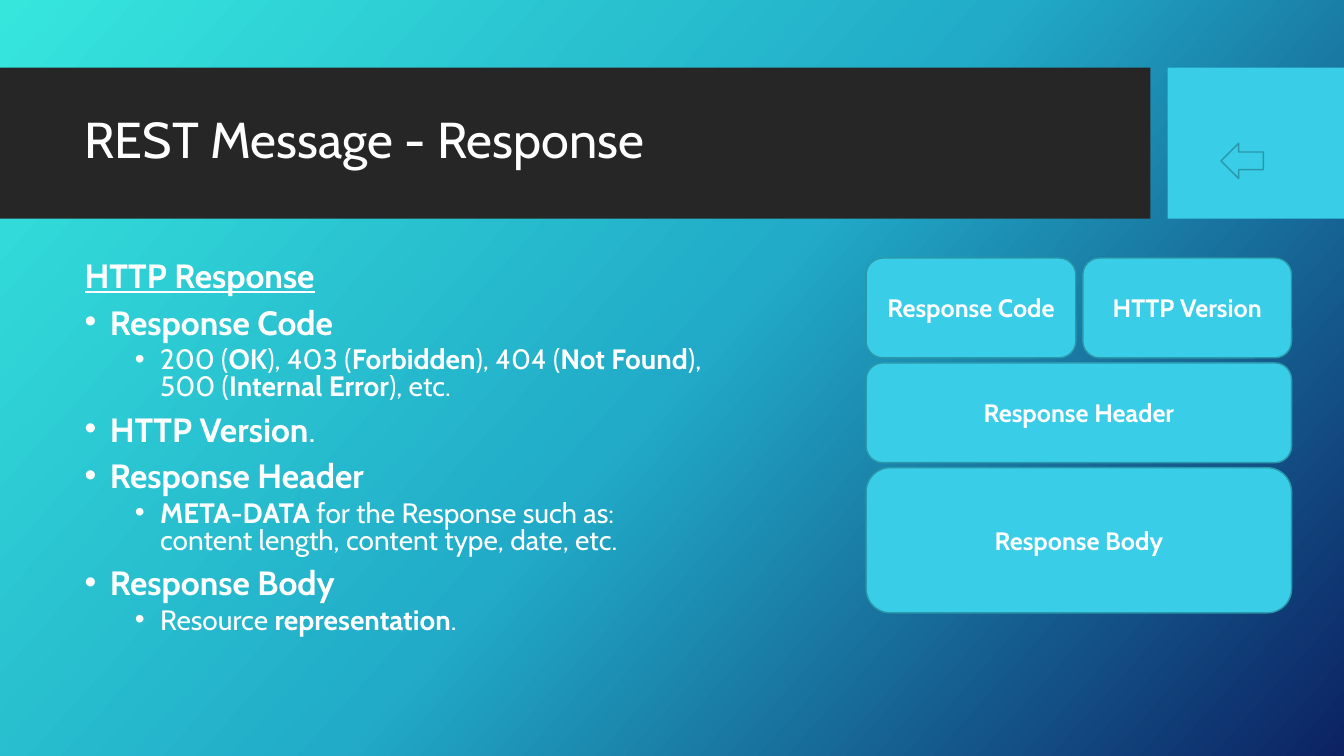
from copy import deepcopy

from lxml.etree import SubElement
from pptx import Presentation
from pptx.dml.color import RGBColor
from pptx.enum.shapes import MSO_SHAPE
from pptx.enum.text import MSO_ANCHOR, PP_ALIGN
from pptx.oxml.ns import qn
from pptx.util import Inches, Pt

WHITE = RGBColor(0xFF, 0xFF, 0xFF)
DARK = RGBColor(0x26, 0x26, 0x26)
CYAN = RGBColor(0x39, 0xCD, 0xE7)
EDGE = RGBColor(0x2A, 0x98, 0xAB)
SKY = [(0, RGBColor(0x36, 0xE6, 0xDD)),
       (0.5, RGBColor(0x21, 0xAB, 0xC8)),
       (1, RGBColor(0x0C, 0x22, 0x63))]
FONT = "Cabin"


def write(para, text, size=18, bold=False, line=None, under=False,
          before=0, align=PP_ALIGN.LEFT, left=None):
    """Fill a paragraph; asterisks switch bold, left adds a bullet."""
    para.alignment = align
    para.space_before = Pt(before)
    if line:
        para.line_spacing = line
    for i, part in enumerate(text.split("*")):
        if part:
            run = para.add_run()
            run.text = part
            font = run.font
            font.name, font.size = FONT, Pt(size)
            font.bold = bold or i % 2 == 1
            font.underline = under
            font.color.rgb = WHITE
    if left is not None:
        props = para._p.get_or_add_pPr()
        props.set("marL", str(Inches(left)))
        props.set("indent", str(Inches(-0.25)))
        SubElement(props, qn("a:buFont"), typeface="Arial")
        SubElement(props, qn("a:buChar"), char="•")


class Deck:
    def __init__(self):
        self.show = Presentation()
        self.show.slide_width = Inches(13.33)
        self.show.slide_height = Inches(7.5)
        self.slide = self.show.slides.add_slide(self.show.slide_layouts[6])

    def sky(self):
        fill = self.slide.background.fill
        fill.gradient()
        fill.gradient_angle = 360 - 42
        stops = next(self.slide.element.iter(qn("a:gsLst")))
        stops.append(deepcopy(stops[-1]))
        for stop, (place, color) in zip(fill.gradient_stops, SKY):
            stop.position = place
            stop.color.rgb = color

    def shape(self, kind, box, fill=CYAN, edge=None, text=None, turn=0):
        item = self.slide.shapes.add_shape(kind, *map(Inches, box))
        item.shadow.inherit = False
        item.rotation = turn
        item.fill.solid()
        item.fill.fore_color.rgb = fill
        if edge:
            item.line.color.rgb = edge
            item.line.width = Pt(1)
        else:
            item.line.fill.background()
        if text:
            item.text_frame.vertical_anchor = MSO_ANCHOR.MIDDLE
            write(item.text_frame.paragraphs[0], text, bold=True,
                  align=PP_ALIGN.CENTER)

    def text(self, box, rows, anchor=MSO_ANCHOR.TOP):
        frame = self.slide.shapes.add_textbox(*map(Inches, box)).text_frame
        frame.word_wrap = True
        frame.vertical_anchor = anchor
        for i, (words, style) in enumerate(rows):
            para = frame.add_paragraph() if i else frame.paragraphs[0]
            write(para, words, **style)


def main():
    deck = Deck()
    deck.sky()

    # Title band
    deck.shape(MSO_SHAPE.RECTANGLE, (0, 0.67, 11.41, 1.5), DARK)
    deck.shape(MSO_SHAPE.RECTANGLE, (11.58, 0.67, 1.75, 1.5))
    deck.text((0.74, 0.82, 10.51, 1.18),
              [("REST Message - Response", dict(size=36, line=0.9))],
              MSO_ANCHOR.MIDDLE)

    # Bullet list
    head = dict(size=24, line=0.8, before=10)
    main_row = dict(head, left=0.25)
    sub_row = dict(size=20, line=0.8, before=5, left=0.75)
    deck.text((0.74, 2.56, 6.41, 3.94), [
        ("*HTTP Response*", dict(head, under=True)),
        ("*Response Code*", main_row),
        ("200 (*OK*), 403 (*Forbidden*), 404 (*Not Found*), "
         "500 (*Internal Error*), etc.", sub_row),
        ("*HTTP Version*.", main_row),
        ("*Response Header*", main_row),
        ("*META-DATA* for the Response such as: "
         "content length, content type, date, etc.", sub_row),
        ("*Response Body*", main_row),
        ("Resource *representation*.", sub_row),
    ])

    # Message parts
    for text, left, top, width, height in [
            ("Response Code", 8.59, 2.56, 2.08, 0.99),
            ("HTTP Version", 10.74, 2.56, 2.07, 0.99),
            ("Response Header", 8.59, 3.6, 4.22, 0.99),
            ("Response Body", 8.59, 4.64, 4.22, 1.44)]:
        deck.shape(MSO_SHAPE.ROUNDED_RECTANGLE, (left, top, width, height),
                   edge=EDGE, text=text)

    # Back arrow
    deck.shape(MSO_SHAPE.RIGHT_ARROW, (12.11, 1.42, 0.42, 0.35),
               edge=EDGE, turn=180)

    deck.show.save("out.pptx")


if __name__ == "__main__":
    main()
